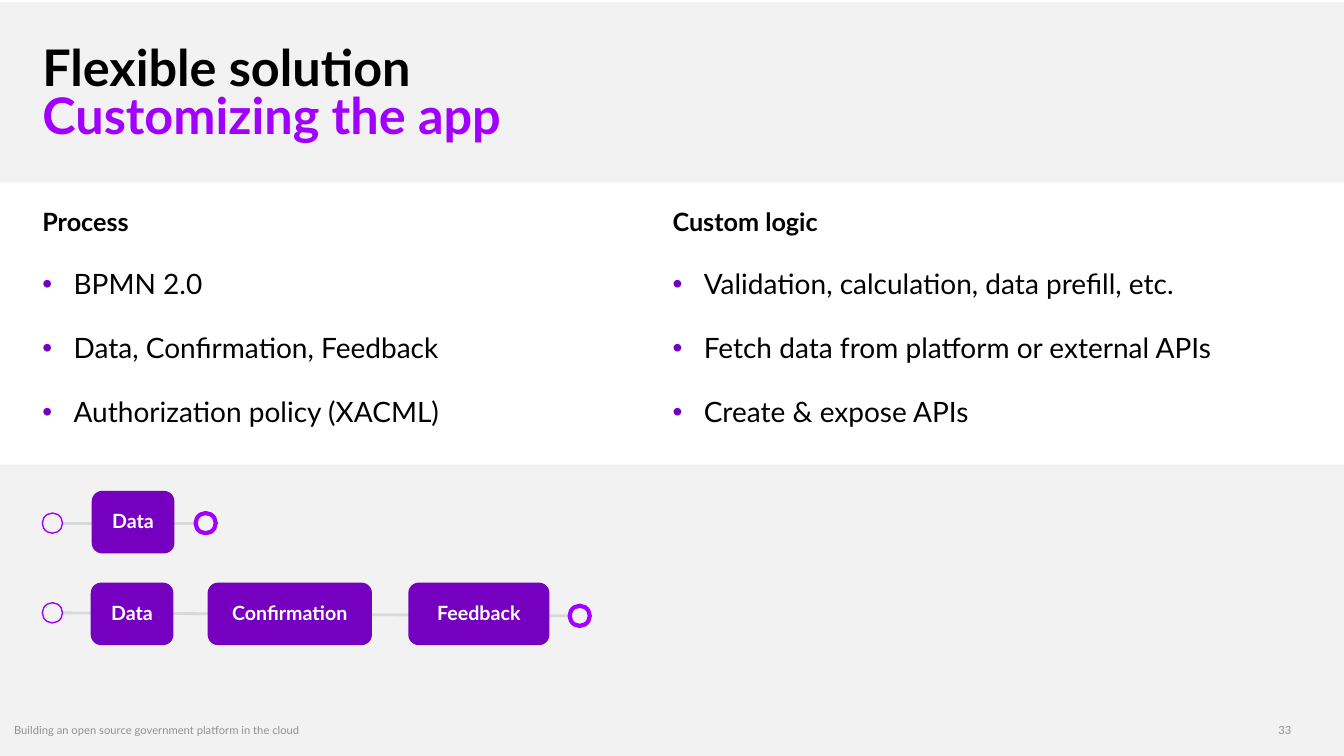
from dataclasses import dataclass
from typing import Any

from lxml.etree import SubElement
from pptx import Presentation
from pptx.dml.color import RGBColor
from pptx.enum.shapes import MSO_CONNECTOR as Connector, MSO_SHAPE as Shape
from pptx.enum.text import MSO_ANCHOR as Anchor, MSO_AUTO_SIZE as AutoSize, PP_ALIGN as Align
from pptx.oxml.ns import qn
from pptx.util import Inches, Pt

BLACK = RGBColor(0x00, 0x00, 0x00)
WHITE = RGBColor(0xFF, 0xFF, 0xFF)
BAND_GREY = RGBColor(0xF2, 0xF2, 0xF2)
FLOW_GREY = RGBColor(0xD9, 0xD9, 0xD9)
BRIGHT_PURPLE = RGBColor(0xA1, 0x00, 0xFF)
DEEP_PURPLE = RGBColor(0x75, 0x00, 0xC0)

EVENT_SIZE = 0.2
STEP_HEIGHT = 0.62
BULLET_INDENT = 0.31


@dataclass(frozen=True)
class Column:
    left: float
    width: float
    heading: str
    points: tuple[str, ...]


@dataclass(frozen=True)
class Step:
    label: str
    left: float
    width: float


@dataclass(frozen=True)
class Flow:
    top: float
    start_top: float
    end_left: float
    end_top: float
    steps: tuple[Step, ...]


BANDS = ((0.02, 1.79), (4.61, 2.89))
COLUMNS = (
    Column(0.42, 4.56, "Process",
           ("BPMN 2.0", "Data, Confirmation, Feedback", "Authorization policy (XACML)")),
    Column(6.67, 5.92, "Custom logic",
           ("Validation, calculation, data prefill, etc.",
            "Fetch data from platform or external APIs", "Create & expose APIs")),
)
FLOWS = (
    Flow(4.87, 5.09, 1.94, 5.09, (Step("Data", 0.91, 0.82),)),
    Flow(5.78, 5.98, 5.65, 6.01,
         (Step("Data", 0.9, 0.82), Step("Confirmation", 2.06, 1.63),
          Step("Feedback", 4.05, 1.4))),
)


def apply(target: Any, **formats: Any) -> None:
    for name, value in formats.items():
        setattr(target, name, value)


def place(item: Any, left: float, top: float, width: float, height: float) -> None:
    apply(item, left=Inches(left), top=Inches(top), width=Inches(width), height=Inches(height))


def set_frame(frame: Any, insets: tuple[float, ...], anchor: Anchor = Anchor.TOP) -> None:
    left, top, right, bottom = (Inches(inset) for inset in insets)
    apply(frame, margin_left=left, margin_top=top, margin_right=right, margin_bottom=bottom,
          word_wrap=True, auto_size=AutoSize.NONE, vertical_anchor=anchor)


def set_font(font: Any, size: float, color: RGBColor, bold: bool = False) -> None:
    apply(font, name="Lato", size=Pt(size), bold=bold)
    font.color.rgb = color


def add_shape(parent: Any, kind: Shape, box: tuple[float, ...], fill: RGBColor | None = None,
              line: RGBColor | None = None, weight: float = 1) -> Any:
    shape = parent.add_shape(kind, *(Inches(length) for length in box))
    shape.shadow.inherit = False
    for paint, color in ((shape.fill, fill), (shape.line.fill, line)):
        if color is None:
            paint.background()
        else:
            paint.solid()
            paint.fore_color.rgb = color
    if line is not None:
        shape.line.width = Pt(weight)
    return shape


def set_bullet(paragraph: Any, bulleted: bool) -> None:
    props = paragraph._p.get_or_add_pPr()
    indent = Inches(BULLET_INDENT) if bulleted else 0
    props.set("marL", str(indent))
    props.set("indent", str(-indent))
    if not bulleted:
        SubElement(props, qn("a:buNone"))
        return
    color = SubElement(props, qn("a:buClr"))
    SubElement(color, qn("a:srgbClr"), val=str(DEEP_PURPLE))
    SubElement(props, qn("a:buFont"), typeface="Arial")
    SubElement(props, qn("a:buChar"), char="•")


def fill_column(body: Any, column: Column) -> None:
    place(body, column.left, 2.08, column.width, 2.16)
    frame = body.text_frame
    set_frame(frame, (0, 0, 0, 0))
    for index, text in enumerate((column.heading, *column.points)):
        is_point = index > 0
        paragraph = frame.paragraphs[0] if index == 0 else frame.add_paragraph()
        set_bullet(paragraph, is_point)
        apply(paragraph, line_spacing=0.9, space_before=Pt(12 if is_point else 0),
              space_after=Pt(12))
        run = paragraph.add_run()
        run.text = text
        set_font(run.font, 20 if is_point else 18, BLACK, bold=not is_point)


def draw_flow(slide: Any, flow: Flow) -> None:
    shapes = slide.shapes.add_group_shape().shapes
    start_left, radius = 0.42, EVENT_SIZE / 2

    # Sequence line behind the steps
    sequence = shapes.add_connector(
        Connector.STRAIGHT, Inches(start_left + EVENT_SIZE), Inches(flow.start_top + radius),
        Inches(flow.end_left), Inches(flow.end_top + radius))
    sequence.line.color.rgb = FLOW_GREY
    sequence.line.width = Pt(2)
    SubElement(sequence._element.spPr, qn("a:effectLst"))

    # Start and end events
    for left, top, weight in ((start_left, flow.start_top, 1),
                              (flow.end_left, flow.end_top, 3)):
        add_shape(shapes, Shape.OVAL, (left, top, EVENT_SIZE, EVENT_SIZE),
                  line=BRIGHT_PURPLE, weight=weight)

    # Process steps
    for step in flow.steps:
        task = add_shape(shapes, Shape.ROUNDED_RECTANGLE,
                         (step.left, flow.top, step.width, STEP_HEIGHT), fill=DEEP_PURPLE)
        set_frame(task.text_frame, (0, 0, 0, 0.03), Anchor.MIDDLE)
        paragraph = task.text_frame.paragraphs[0]
        paragraph.alignment = Align.CENTER
        run = paragraph.add_run()
        run.text = step.label
        set_font(run.font, 14, WHITE, bold=True)


def add_footer(slide: Any, text: str, left: float, width: float, inset: float) -> None:
    note = slide.shapes.add_textbox(Inches(left), Inches(7.13), Inches(width), Inches(0.23))
    set_frame(note.text_frame, (inset, 0.05, 0.1, 0.05))
    run = note.text_frame.paragraphs[0].add_run()
    run.text = text
    set_font(run.font, 8, BLACK)
    color = run._r.rPr.find(qn("a:solidFill"))[0]
    SubElement(color, qn("a:alpha"), val="40000")


def main() -> None:
    deck = Presentation()
    apply(deck, slide_width=Inches(13.33), slide_height=Inches(7.5))
    slide = deck.slides.add_slide(deck.slide_layouts[3])
    title, *bodies = list(slide.placeholders)

    # Grey bands, sent behind the placeholders
    for position, (top, height) in enumerate(BANDS):
        band = add_shape(slide.shapes, Shape.RECTANGLE, (-0.01, top, 13.34, height), BAND_GREY)
        slide.shapes._spTree.insert(2 + position, band._element)

    # Title and subtitle
    place(title, 0.42, 0.42, 12.5, 1.08)
    set_frame(title.text_frame, (0, 0.05, 0, 0))
    heading = title.text_frame.paragraphs[0]
    apply(heading, alignment=Align.LEFT, line_spacing=0.8)
    for text, color in (("Flexible solution", BLACK), ("Customizing the app", BRIGHT_PURPLE)):
        if heading.runs:
            heading.add_line_break()
        run = heading.add_run()
        run.text = text
        set_font(run.font, 36, color, bold=True)

    # Columns, flows and footer
    for body, column in zip(bodies, COLUMNS):
        fill_column(body, column)
    for flow in FLOWS:
        draw_flow(slide, flow)
    add_footer(slide, "Building an open source government platform in the cloud", 0.14, 3.36, 0)
    add_footer(slide, "33", 12.58, 0.42, 0.1)

    deck.save("out.pptx")


if __name__ == "__main__":
    main()
